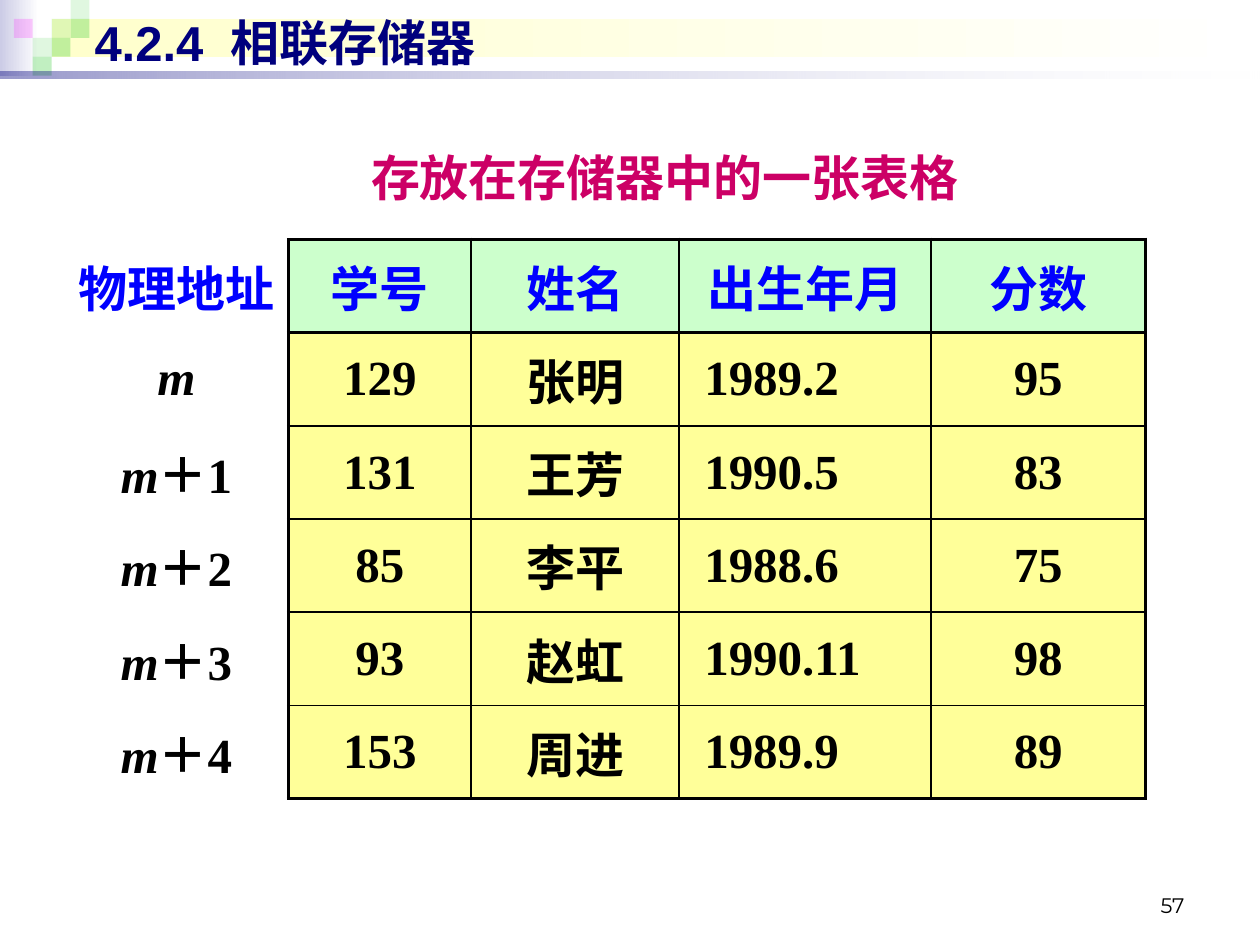
import pptx
import pptx.dml.color
import pptx.enum.shapes
import pptx.enum.text
import pptx.oxml
import pptx.oxml.ns
import pptx.util
from pptx.util import Inches

ALIGN = pptx.enum.text.PP_ALIGN
ANCHOR = pptx.enum.text.MSO_ANCHOR
SERIF = "Times New Roman"
BLACK, BLUE, NAVY, WHITE = "000000", "0000FF", "00007D", "FFFFFF"
THIN, THICK = 1, 2.25

COLS = [1.78, 1.45, 1.65, 2, 1.7]
ROW = 0.74
ROWS = [
    ["物理地址", "学号", "姓名", "出生年月", "分数"],
    ["m", "129", "张明", "1989.2", "95"],
    ["m＋1", "131", "王芳", "1990.5", "83"],
    ["m＋2", "85", "李平", "1988.6", "75"],
    ["m＋3", "93", "赵虹", "1990.11", "98"],
    ["m＋4", "153", "周进", "1989.9", "89"],
]

# Column and row of each square in the corner, with colour and opacity
TILE = 0.15
TILES = [
    (2, 1, "33CC33", 15), (3, 0, "33CC33", 15), (3, 1, "33CC33", 30),
    (1, 2, "33CC33", 15), (0, 1, "FF00FF", 20), (2, 2, "33CC33", 30),
    (1, 3, "33CC33", 30),
]


def rgb(code):
    return pptx.dml.color.RGBColor.from_string(code)


def fade(shape, alphas):
    """Give each colour of the shape's fill its opacity in percent."""
    colors = shape._element.spPr.iter(pptx.oxml.ns.qn("a:srgbClr"))
    for color, alpha in zip(colors, alphas):
        node = pptx.oxml.parse_xml(
            f'<a:alpha {pptx.oxml.ns.nsdecls("a")} val="{alpha * 1000}"/>')
        color.append(node)


def add_rect(slide, box, colors, alphas=()):
    """Draw a borderless block: one colour is solid, two make a gradient."""
    kind = pptx.enum.shapes.MSO_SHAPE.RECTANGLE
    shape = slide.shapes.add_shape(kind, *map(Inches, box))
    shape.shadow.inherit = False
    shape.line.fill.background()
    if len(colors) == 1:
        shape.fill.solid()
        shape.fill.fore_color.rgb = rgb(colors[0])
    else:
        shape.fill.gradient()
        shape.fill.gradient_angle = 0
        for stop, color in zip(shape.fill.gradient_stops, colors):
            stop.color.rgb = rgb(color)
    fade(shape, alphas)


def add_decor(slide):
    add_rect(slide, (0, 0, 0.31, 0.6), ["CCCCE6", WHITE])
    add_rect(slide, (0.41, 0.15, 9.55, 0.3), ["FFFFCC", WHITE])
    for col, row, color, alpha in TILES:
        box = (0.11 + col * TILE, row * TILE, TILE, TILE)
        add_rect(slide, box, [color], [alpha])
    add_rect(slide, (0, 0.57, 10, 0.05), [NAVY, WHITE], [40, 10])


def style(para, color, size=28, name=SERIF, bold=True, align=ALIGN.CENTER):
    para.alignment = align
    para.space_before = pptx.util.Pt(0)
    for run in para.runs:
        run.font.size = pptx.util.Pt(size)
        run.font.name = name
        run.font.bold = bold
        run.font.color.rgb = rgb(color)


def set_text(shape, box, text, anchor, **look):
    shape.left, shape.top, shape.width, shape.height = map(Inches, box)
    frame = shape.text_frame
    frame.text = text
    frame.word_wrap = True
    frame.auto_size = pptx.enum.text.MSO_AUTO_SIZE.NONE
    frame.vertical_anchor = anchor
    style(frame.paragraphs[0], **look)


def drop_bullet(para):
    props = para._p.get_or_add_pPr()
    props.set("marL", "0")
    props.set("indent", "0")
    props.append(pptx.oxml.parse_xml(
        f'<a:buNone {pptx.oxml.ns.nsdecls("a")}/>'))


def set_edge(cell, side, width):
    cell._tc.get_or_add_tcPr().append(pptx.oxml.parse_xml(
        f'<a:ln{side} {pptx.oxml.ns.nsdecls("a")} '
        f'w="{pptx.util.Pt(width)}"><a:solidFill>'
        f'<a:srgbClr val="{BLACK}"/></a:solidFill></a:ln{side}>'))


def frame_cell(cell, row, col):
    """Rule the grid thin, with a thick outline and a thick head line."""
    if col == 0:
        set_edge(cell, "R", THICK)
        return
    heavy = {
        "L": col == 1,
        "R": col == len(COLS) - 1,
        "T": row < 2,
        "B": row in (0, len(ROWS) - 1),
    }
    for side, thick in heavy.items():
        set_edge(cell, side, THICK if thick else THIN)


def fill_cell(cell, row, col):
    if col == 0:
        cell.fill.background()
    else:
        cell.fill.solid()
        cell.fill.fore_color.rgb = rgb("FFFF99" if row else "CCFFCC")


def write_cell(cell, text, row, col):
    cell.vertical_anchor = ANCHOR.MIDDLE
    para = cell.text_frame.paragraphs[0]
    para.text = text
    if row and col == 0:
        para.text = text[0]
        if text[1:]:
            para.add_run().text = text[1:]
        para.runs[0].font.italic = True
    dated = row and col == 3
    if dated:
        cell.margin_left = Inches(0.2)
    style(para, BLACK if row else BLUE,
          align=ALIGN.LEFT if dated else ALIGN.CENTER)


def add_grid(slide):
    box = (0.51, 1.9, sum(COLS), ROW * len(ROWS))
    table = slide.shapes.add_table(
        len(ROWS), len(COLS), *map(Inches, box)).table
    table.first_row = table.horz_banding = False
    for column, width in zip(table.columns, COLS):
        column.width = Inches(width)
    for row, texts in enumerate(ROWS):
        for col, text in enumerate(texts):
            cell = table.cell(row, col)
            frame_cell(cell, row, col)
            fill_cell(cell, row, col)
            write_cell(cell, text, row, col)


def main():
    deck = pptx.Presentation()
    deck.slide_width, deck.slide_height = Inches(10), Inches(7.5)
    slide = deck.slides.add_slide(deck.slide_layouts[1])
    title, body = slide.placeholders

    add_decor(slide)
    for holder in (title, body):  # bring the text in front of the bands
        slide.shapes._spTree.append(holder._element)

    set_text(title, (0.65, 0.05, 9, 0.57), "4.2.4  相联存储器",
             ANCHOR.MIDDLE, color=NAVY, name="Arial", align=ALIGN.LEFT)
    set_text(body, (1.22, 1.12, 8.11, 0.63), "存放在存储器中的一张表格",
             ANCHOR.TOP, color="CC0066")
    drop_bullet(body.text_frame.paragraphs[0])

    add_grid(slide)
    box = (7.17, 6.83, 2.33, 0.5)
    number = slide.shapes.add_textbox(*map(Inches, box))
    set_text(number, box, "57", ANCHOR.BOTTOM, color=BLACK, size=12,
             name="Montserrat", bold=False, align=ALIGN.RIGHT)
    deck.save("out.pptx")


if __name__ == "__main__":
    main()
